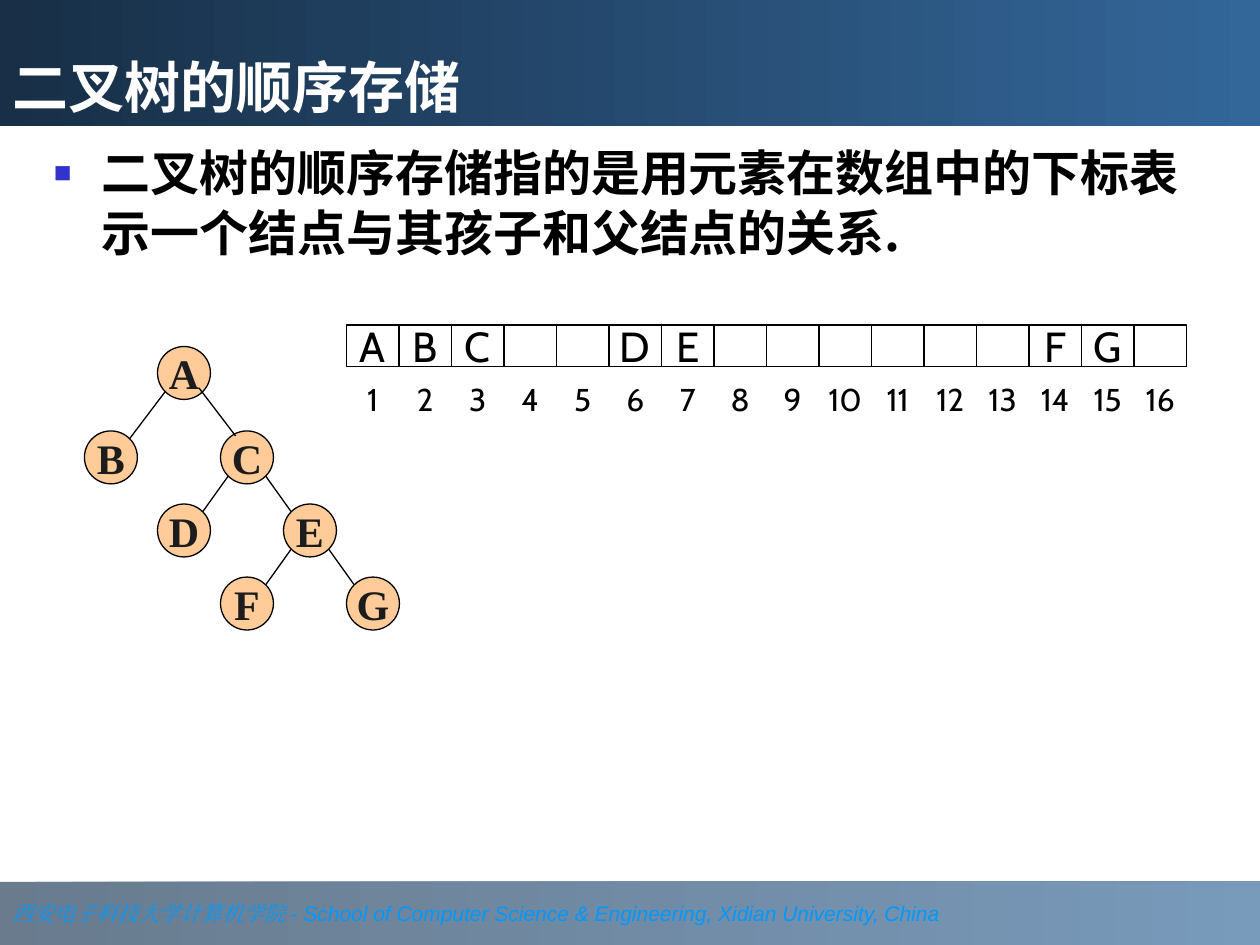
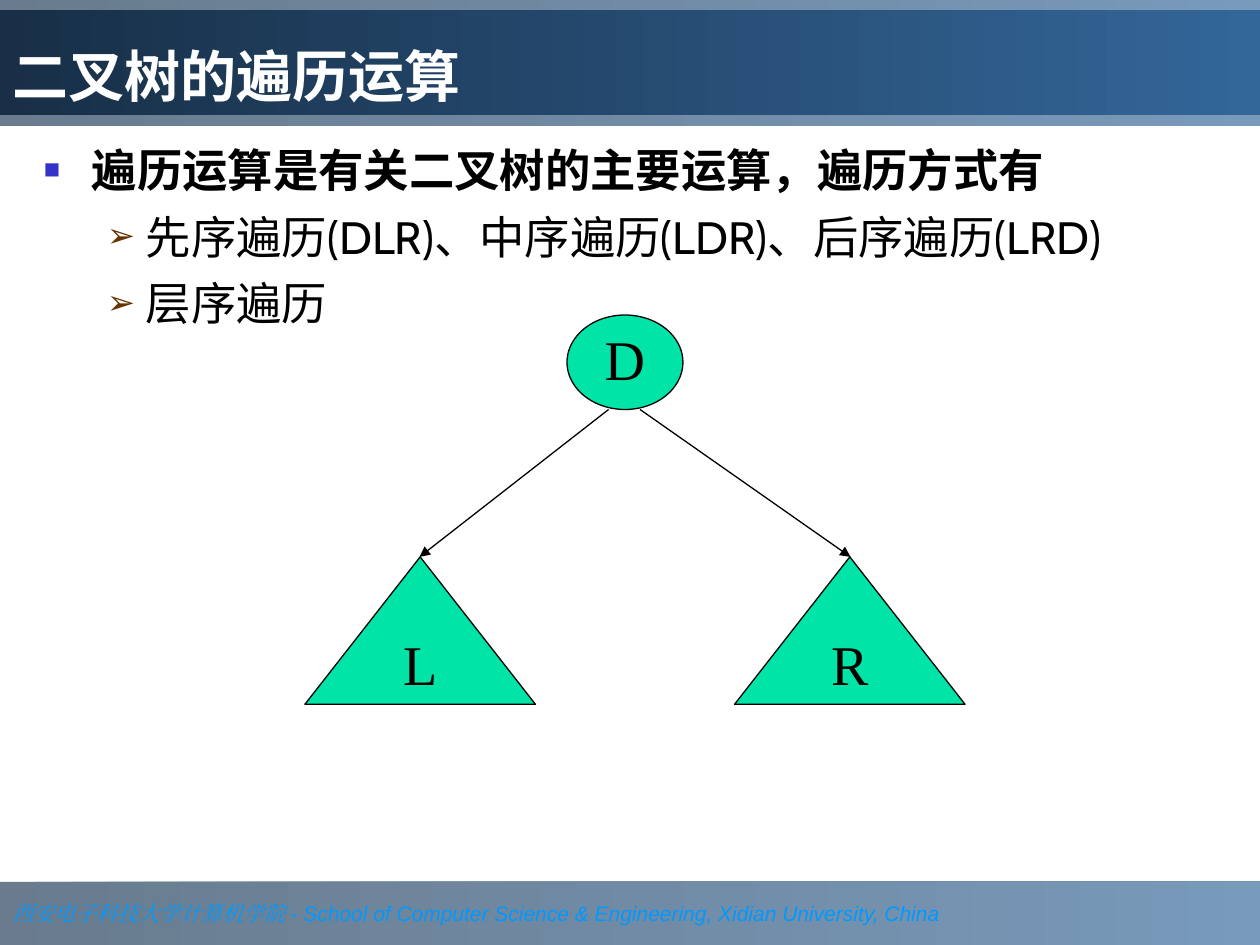
import lxml.etree
import pptx
import pptx.dml.color
import pptx.enum.shapes
import pptx.enum.text
import pptx.oxml.ns
import pptx.util

Inches = pptx.util.Inches
Pt = pptx.util.Pt
RGBColor = pptx.dml.color.RGBColor
qn = pptx.oxml.ns.qn
SHAPE = pptx.enum.shapes.MSO_SHAPE
ANCHOR = pptx.enum.text.MSO_ANCHOR
ALIGN = pptx.enum.text.PP_ALIGN

COLORS = {
    "band_start": "1C3853", "title_start": "182F47", "band_end": "336699",
    "white": "FFFFFF", "black": "000000", "footer": "0099FF",
    "node": "FFCC99", "node_text": "1C1C1C", "subtree": "00E4A8",
    "square_bullet": "3333CC", "arrow_bullet": "663300",
}


def add_run(paragraph, text, font_name, size, color, bold=False, italic=False):
    run = paragraph.add_run()
    run.text = text
    font = run.font
    font.name = font_name
    font.size = Pt(size)
    font.bold = bold
    font.italic = italic
    font.color.rgb = RGBColor.from_string(COLORS[color])
    east_asian_font = "Cabin" if font_name == "Noto Sans CJK SC" else font_name
    latin = run._r.rPr.find(qn("a:latin"))
    latin.addnext(latin.makeelement(qn("a:ea"), {"typeface": east_asian_font}))


def add_figure(slide, kind, box, text, font_name, size, fill=None,
               text_color="black", bold=False, outlined=True, line_spacing=None):
    """Add a preset shape with a thin outline and one centred label."""
    shape = slide.shapes.add_shape(kind, *map(Inches, box))
    shape.shadow.inherit = False
    if fill:
        shape.fill.solid()
        shape.fill.fore_color.rgb = RGBColor.from_string(COLORS[fill])
    else:
        shape.fill.background()
    if outlined:
        shape.line.color.rgb = RGBColor.from_string(COLORS["black"])
        shape.line.width = Pt(0.75)
    else:
        shape.line.fill.background()
    if text:
        shape.text_frame.word_wrap = False
        shape.text_frame.vertical_anchor = ANCHOR.MIDDLE
        paragraph = shape.text_frame.paragraphs[0]
        paragraph.alignment = ALIGN.CENTER
        paragraph.line_spacing = line_spacing
        add_run(paragraph, text, font_name, size, text_color, bold)


presentation = pptx.Presentation()
presentation.slide_width = Inches(10)
presentation.slide_height = Inches(7.5)
layout = presentation.slide_layouts[5]
storage_slide = presentation.slides.add_slide(layout)
traversal_slide = presentation.slides.add_slide(layout)

# Shared bands and footer, moved to the layout
for band_id, (top, height) in enumerate([(7, 0.5), (0, 1)], start=101):
    band = storage_slide.shapes.add_shape(
        SHAPE.RECTANGLE, 0, Inches(top), Inches(10), Inches(height))
    band.shadow.inherit = False
    band.line.fill.background()
    band.fill.gradient()
    band.fill.gradient_angle = 0
    for stop, color in zip(band.fill.gradient_stops, ("band_start", "band_end")):
        stop.color.rgb = RGBColor.from_string(COLORS[color])
    for color_element in band._element.spPr.iter(qn("a:srgbClr")):
        lxml.etree.SubElement(color_element, qn("a:alpha"), val="66000")
    if top == 7:
        band.text_frame.word_wrap = True
        band.text_frame.vertical_anchor = ANCHOR.MIDDLE
        paragraph = band.text_frame.paragraphs[0]
        paragraph.alignment = ALIGN.LEFT
        add_run(paragraph, "西安电子科技大学计算机学院 ", "Times New Roman", 12,
                "footer", italic=True)
        add_run(paragraph,
                "- School of Computer Science & Engineering, Xidian University, China",
                "Arial", 12, "footer", italic=True)
    band._element.nvSpPr.cNvPr.set("id", str(band_id))
    layout.shapes._spTree.append(band._element)

# Titles and bullet texts
# Bullet level: character, colour, size in percent, left margin, indent
BULLETS = [("■", "square_bullet", 60, 0.38, -0.38),
           ("➢", "arrow_bullet", 75, 0.81, -0.31)]
pages = [
    (storage_slide, "二叉树的顺序存储", (0, 0, 10, 1), (0.33, 1.08, 9.5, 1.12),
     "Noto Sans CJK SC", 28, Pt(34),
     [(0, "二叉树的顺序存储指的是用元素在数组中的下标表示一个结点与其孩子和父结点的关系.")]),
    (traversal_slide, "二叉树的遍历运算", (0, 0.08, 10, 0.83), (0.25, 1.08, 9.42, 2.08),
     "Cabin", 25.9, None,
     [(0, "遍历运算是有关二叉树的主要运算，遍历方式有"),
      (1, "先序遍历(DLR)、中序遍历(LDR)、后序遍历(LRD)"),
      (1, "层序遍历")]),
]
for slide, title_text, title_box, body_box, body_font, size, spacing, items in pages:
    title = slide.shapes.title
    title.left, title.top, title.width, title.height = map(Inches, title_box)
    title.fill.gradient()
    title.fill.gradient_angle = 0
    for stop, color in zip(title.fill.gradient_stops, ("title_start", "band_end")):
        stop.color.rgb = RGBColor.from_string(COLORS[color])
    title.text_frame.auto_size = pptx.enum.text.MSO_AUTO_SIZE.NONE
    title.text_frame.vertical_anchor = ANCHOR.BOTTOM
    title.text_frame.paragraphs[0].alignment = ALIGN.LEFT
    add_run(title.text_frame.paragraphs[0], title_text, "Cabin", 32, "white", bold=True)

    body = slide.shapes.add_textbox(*map(Inches, body_box)).text_frame
    body.word_wrap = True
    for index, (level, text) in enumerate(items):
        paragraph = body.add_paragraph() if index else body.paragraphs[0]
        character, color, percent, margin, indent = BULLETS[level]
        properties = paragraph._p.get_or_add_pPr()
        properties.set("marL", str(Inches(margin)))
        properties.set("indent", str(Inches(indent)))
        bullet_color = lxml.etree.SubElement(properties, qn("a:buClr"))
        lxml.etree.SubElement(bullet_color, qn("a:srgbClr"), val=COLORS[color])
        lxml.etree.SubElement(properties, qn("a:buSzPct"), val=str(percent * 1000))
        lxml.etree.SubElement(properties, qn("a:buFont"), typeface="Arial")
        lxml.etree.SubElement(properties, qn("a:buChar"), char=character)
        paragraph.level = level
        paragraph.line_spacing = spacing
        if index:
            paragraph.space_before = Pt(7)
        add_run(paragraph, text, body_font, size, "black", bold=level == 0)

# Binary tree
NODE_SIZE = 0.42
nodes = {"A": (1.25, 2.75), "B": (0.67, 3.42), "C": (1.75, 3.42), "D": (1.25, 4),
         "E": (2.25, 4), "F": (1.75, 4.58), "G": (2.75, 4.58)}
for name, (left, top) in nodes.items():
    add_figure(storage_slide, SHAPE.OVAL, (left, top, NODE_SIZE, NODE_SIZE), name,
               "Times New Roman", 24, "node", "node_text", bold=True)

# Lines: slide, start, end, arrowhead
lines = [(storage_slide, (1.58, 3.08), (1.87, 3.46), False),
         (traversal_slide, (4.83, 3.25), (3.33, 4.42), True),
         (traversal_slide, (5.08, 3.25), (6.75, 4.42), True)]
for parent, child in ("AB", "CD", "CE", "EF", "EG"):
    parent_x, parent_y, child_x, child_y = (
        value + NODE_SIZE / 2 for value in nodes[parent] + nodes[child])
    reach = 0.15 if child_x > parent_x else -0.15
    lines.append((storage_slide, (parent_x + reach, parent_y + 0.15),
                  (child_x - reach, child_y - 0.15), False))

# Array cells with their indices
CELL_PITCH = 5 / 12
array = {1: "A", 2: "B", 3: "C", 6: "D", 7: "E", 14: "F", 15: "G"}
for number in range(1, 17):
    left = 2.75 + (number - 1) * CELL_PITCH
    add_figure(storage_slide, SHAPE.RECTANGLE, (left, 2.58, CELL_PITCH, 0.33),
               array.get(number), "Cabin", 24)
    add_figure(storage_slide, SHAPE.RECTANGLE, (left, 3, CELL_PITCH, 0.33),
               str(number), "Cabin", 18, outlined=False)

# Root with left and right subtrees
for kind, box, label in [
        (SHAPE.OVAL, (4.5, 2.5, 0.92, 0.75), "D"),
        (SHAPE.ISOSCELES_TRIANGLE, (2.42, 4.42, 1.83, 1.17), "L"),
        (SHAPE.ISOSCELES_TRIANGLE, (5.83, 4.42, 1.83, 1.17), "R")]:
    add_figure(traversal_slide, kind, box, label, "Times New Roman", 32, "subtree",
               line_spacing=0.9)

for slide, start, end, has_arrowhead in lines:
    connector = slide.shapes.add_connector(
        pptx.enum.shapes.MSO_CONNECTOR.STRAIGHT, *map(Inches, start + end))
    connector.line.color.rgb = RGBColor.from_string(COLORS["black"])
    connector.line.width = Pt(0.75)
    if has_arrowhead:
        lxml.etree.SubElement(connector.line._get_or_add_ln(), qn("a:tailEnd"),
                              type="triangle")
    lxml.etree.SubElement(connector._element.spPr, qn("a:effectLst"))

presentation.save("out.pptx")
